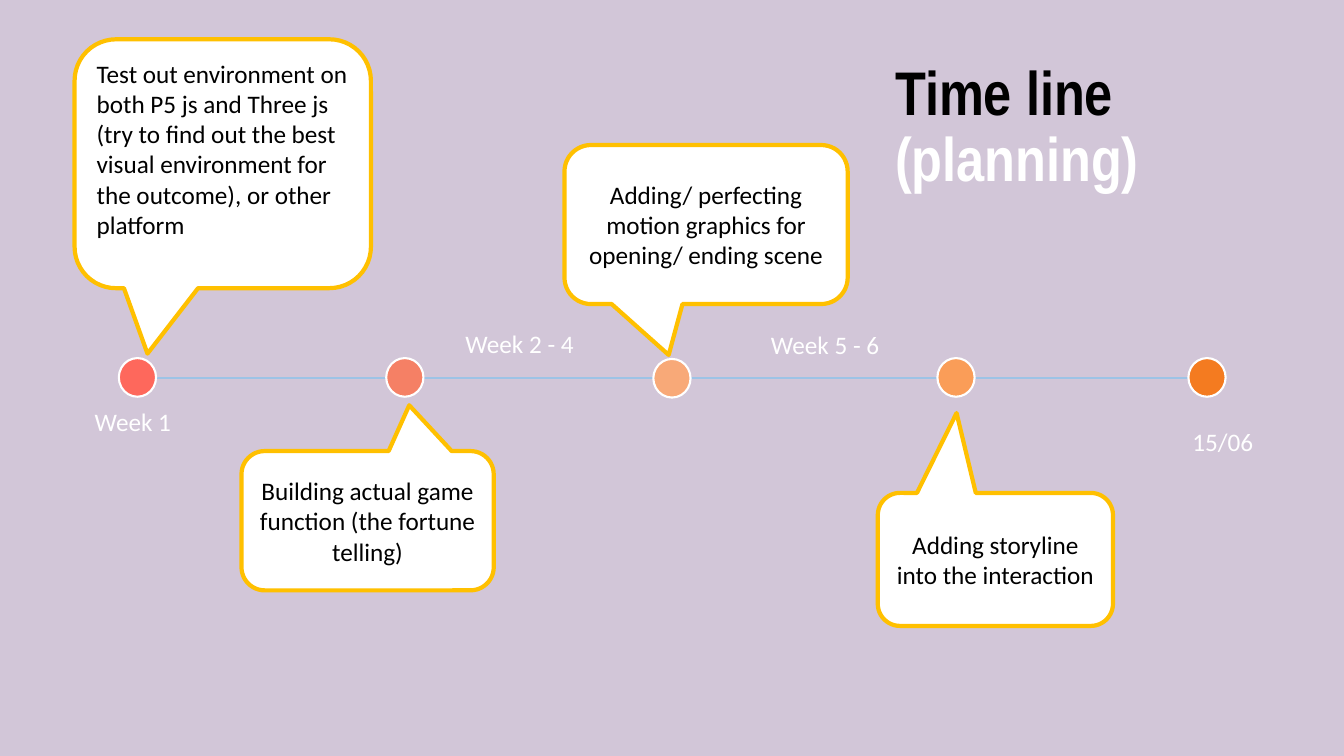
import lxml.etree
import pptx
import pptx.dml.color
import pptx.enum.shapes
import pptx.enum.text
import pptx.oxml.ns
import pptx.util

Pt = pptx.util.Pt
RGBColor = pptx.dml.color.RGBColor
SHAPE = pptx.enum.shapes.MSO_SHAPE
ALIGN = pptx.enum.text.PP_ALIGN
ANCHOR = pptx.enum.text.MSO_ANCHOR

LILAC = RGBColor(0xD2, 0xC6, 0xD8)
WHITE = RGBColor(0xFF, 0xFF, 0xFF)
BLACK = RGBColor(0x00, 0x00, 0x00)
AMBER = RGBColor(0xFF, 0xC0, 0x00)
SKY = RGBColor(0x9D, 0xC3, 0xE6)
CORAL = RGBColor(0xFE, 0x68, 0x5C)
SALMON = RGBColor(0xF5, 0x80, 0x65)
PEACH = RGBColor(0xF8, 0xA9, 0x78)
APRICOT = RGBColor(0xFA, 0x9D, 0x58)
ORANGE = RGBColor(0xF4, 0x7B, 0x20)

BODY = {"name": "Calibri", "size": Pt(18)}
HEADING = {"name": "Arial Narrow", "size": Pt(44), "bold": True}

AXIS_Y = 270
AXIS_LEFT, AXIS_RIGHT = 85, 875.5
DOT_WIDTH, DOT_HEIGHT = 26.6, 27.6

MILESTONES = [
    (98.2, 269.6, CORAL),
    (289.2, 269.6, SALMON),
    (480, 270.2, PEACH),
    (682.9, 269.6, APRICOT),
    (862.2, 269.6, ORANGE),
]

TASKS = [
    ("Test out environment on both P5 js and Three js (try to find out the best "
     "visual environment for the outcome), or other platform",
     (53.3, 28.1, 211.7, 177.8), (-0.254, 0.763), ALIGN.LEFT, 25.2),
    ("Building actual game function (the fortune telling)",
     (172.5, 322.2, 180.2, 99.5), (0.165, -0.829), ALIGN.CENTER, 3.6),
    ("Adding/ perfecting motion graphics for opening/ ending scene",
     (403.2, 103.6, 202.3, 113.6), (-0.132, 0.82), ALIGN.CENTER, 3.6),
    ("Adding storyline into the interaction",
     (627, 352.1, 168, 95), (-0.165, -1.101), ALIGN.CENTER, 3.6),
]

DATES = [
    ("Week 1", (60.5, 286.6, 75, 29)),
    ("15/06", (844.6, 301, 59, 29)),
    ("Week 2 - 4", (325.4, 231.1, 107, 29)),
    ("Week 5 - 6", (543.6, 231.8, 107, 29)),
]


def points(box):
    return [Pt(length) for length in box]


def apply(target, values):
    for attribute, value in values.items():
        setattr(target, attribute, value)


def add_words(paragraph, words, font, color):
    run = paragraph.add_run()
    run.text = words
    apply(run.font, font)
    run.font.color.rgb = color


def add_outlined(slide, preset, box, fill, outline, width):
    outlined = slide.shapes.add_shape(preset, *points(box))
    outlined.shadow.inherit = False
    outlined.fill.solid()
    outlined.fill.fore_color.rgb = fill
    outlined.line.color.rgb = outline
    outlined.line.width = Pt(width)
    return outlined


def add_axis(slide):
    axis = slide.shapes.add_connector(
        pptx.enum.shapes.MSO_CONNECTOR.STRAIGHT,
        *points((AXIS_LEFT, AXIS_Y, AXIS_RIGHT, AXIS_Y)))
    axis.line.color.rgb = SKY
    axis.line.width = Pt(1.5)
    lxml.etree.SubElement(axis._element.spPr, pptx.oxml.ns.qn("a:effectLst"))


def add_milestone(slide, center_x, center_y, color):
    box = (center_x - DOT_WIDTH / 2, center_y - DOT_HEIGHT / 2, DOT_WIDTH, DOT_HEIGHT)
    add_outlined(slide, SHAPE.OVAL, box, color, WHITE, 1.5)


def add_task(slide, words, box, tip, alignment, bottom_margin):
    bubble = add_outlined(slide, SHAPE.ROUNDED_RECTANGULAR_CALLOUT, box, WHITE, AMBER, 3)
    for index, offset in enumerate(tip):
        bubble.adjustments[index] = offset
    apply(bubble.text_frame, {"word_wrap": True, "vertical_anchor": ANCHOR.MIDDLE,
                              "margin_bottom": Pt(bottom_margin)})
    paragraph = bubble.text_frame.paragraphs[0]
    paragraph.alignment = alignment
    add_words(paragraph, words, BODY, BLACK)


def add_label(slide, box, pieces, font, frame_format, paragraph_format):
    frame = slide.shapes.add_textbox(*points(box)).text_frame
    frame.word_wrap = True
    apply(frame, frame_format)
    paragraph = frame.paragraphs[0]
    apply(paragraph, paragraph_format)
    for words, color in pieces:
        add_words(paragraph, words, font, color)


def main():
    deck = pptx.Presentation()
    apply(deck, {"slide_width": Pt(960), "slide_height": Pt(540)})
    slide = deck.slides.add_slide(deck.slide_layouts[6])
    slide.background.fill.solid()
    slide.background.fill.fore_color.rgb = LILAC

    add_axis(slide)
    for milestone in MILESTONES:
        add_milestone(slide, *milestone)
    for task in TASKS:
        add_task(slide, *task)
    add_label(slide, (632.2, 28.1, 243.4, 127.4),
              [("Time line ", BLACK), ("(planning)", WHITE)], HEADING,
              {"vertical_anchor": ANCHOR.MIDDLE},
              {"alignment": ALIGN.LEFT, "line_spacing": 0.9})
    for words, box in DATES:
        add_label(slide, box, [(words, WHITE)], BODY,
                  {"auto_size": pptx.enum.text.MSO_AUTO_SIZE.SHAPE_TO_FIT_TEXT},
                  {"alignment": ALIGN.LEFT})
    deck.save("out.pptx")


if __name__ == "__main__":
    main()
